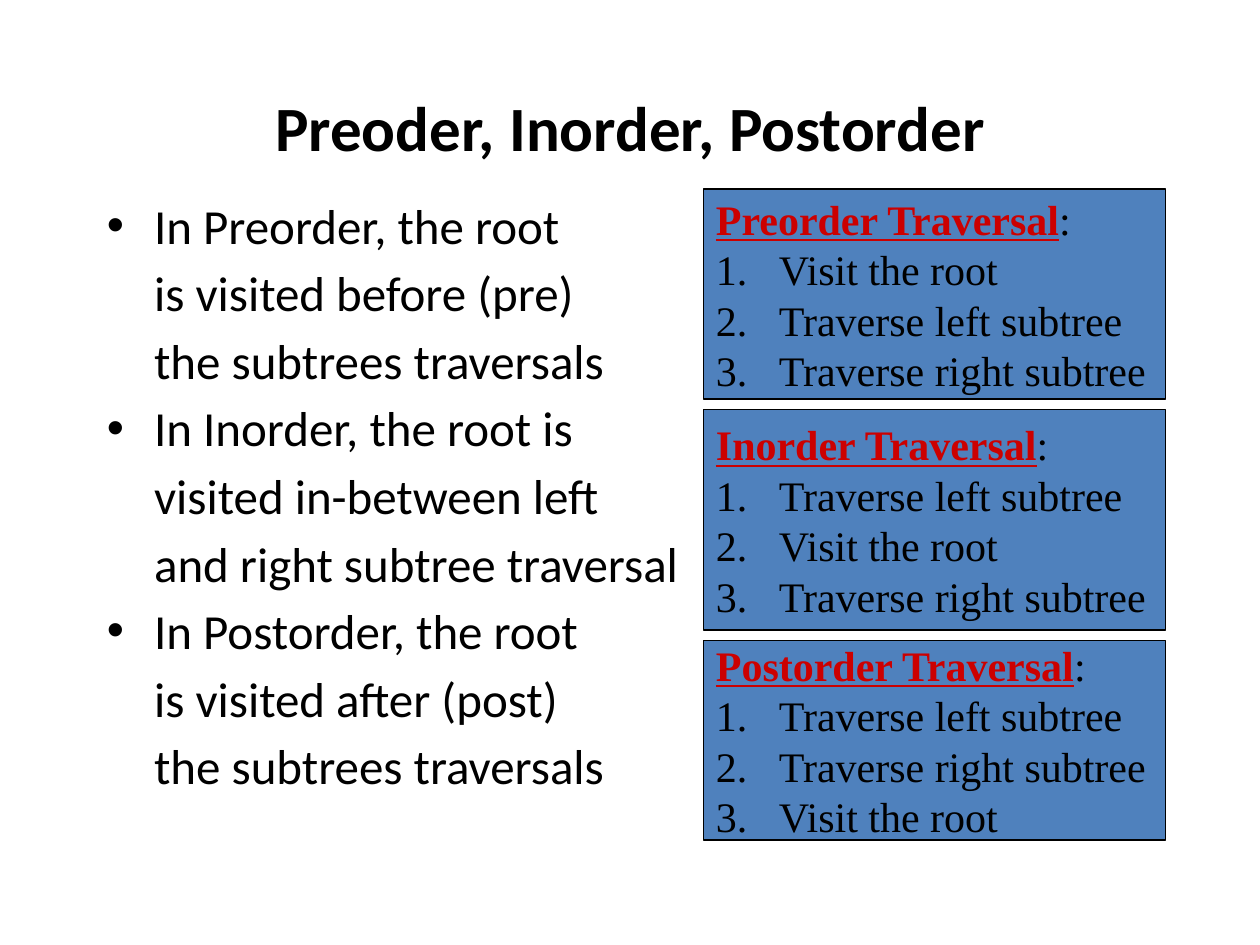
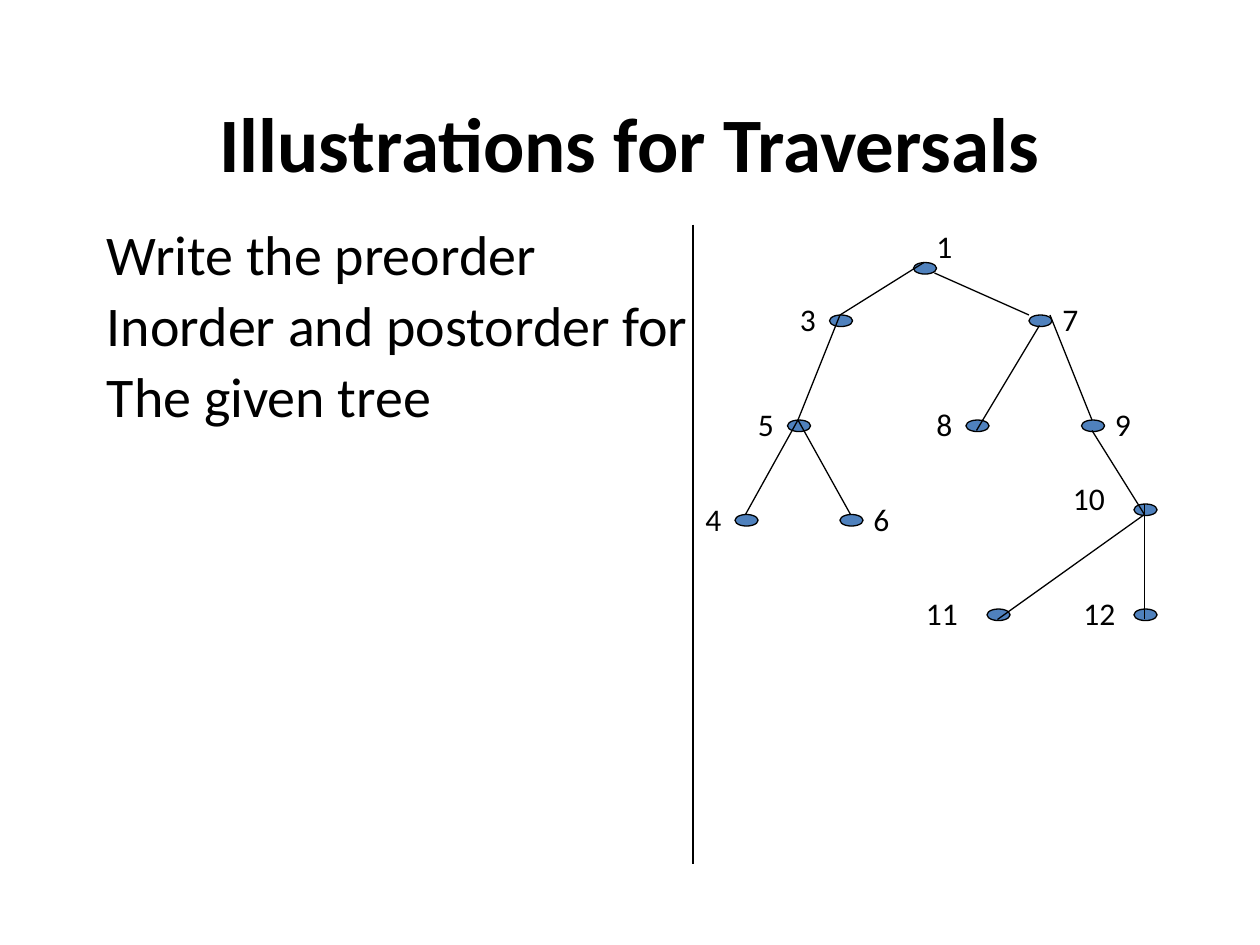
from typing import NamedTuple

from lxml import etree
from pptx import Presentation, util as u
from pptx.dml.color import RGBColor
from pptx.enum import shapes as sh, text as tx
from pptx.oxml.ns import qn

PX = u.Inches(1) // 120
BLACK, RED, BLUE = "000000", "CC0000", "4F81BD"
SANS, SERIF = "Calibri", "Times New Roman"
LEFT, WIDTH = 90, 1020
TITLE_TOP = 80
NODE_W, NODE_H = 22, 11

# Points on a node where an edge may end, measured from its top left corner
TOP, BOTTOM = (10, 0), (10, 10)
CORNER, RIGHT_TOP, RIGHT_BOTTOM = (0, 0), (20, 0), (20, 10)


class Traversal(NamedTuple):
    name: str
    steps: list[str]
    height: int


class Node(NamedTuple):
    x: int
    y: int
    label_x: int
    label_y: int


class Edge(NamedTuple):
    parent: int
    child: int
    start: tuple[int, int] = BOTTOM
    end: tuple[int, int] = TOP


ROOT, LEFT_SUB, RIGHT_SUB = "Visit the root", "Traverse left subtree", "Traverse right subtree"
TRAVERSALS = [
    Traversal("Preorder Traversal", [ROOT, LEFT_SUB, RIGHT_SUB], 200),
    Traversal("Inorder Traversal", [LEFT_SUB, ROOT, RIGHT_SUB], 210),
    Traversal("Postorder Traversal", [LEFT_SUB, RIGHT_SUB, ROOT], 190),
]
EXPLANATIONS = [
    ["In Preorder, the root", "is visited before (pre)", "the subtrees traversals"],
    ["In Inorder, the root is", "visited in-between left", "and right subtree traversal"],
    ["In Postorder, the root", "is visited after (post)", "the subtrees traversals"],
]
TASK = ["Write the preorder", "Inorder and postorder for", "The given tree"]
NODES = {
    1: Node(870, 250, 880, 210),
    3: Node(790, 300, 750, 280),
    7: Node(980, 300, 1000, 280),
    5: Node(750, 400, 710, 380),
    8: Node(920, 400, 880, 380),
    9: Node(1030, 400, 1050, 380),
    4: Node(700, 490, 660, 470),
    6: Node(800, 490, 820, 470),
    10: Node(1080, 480, 1010, 450),
    11: Node(940, 580, 870, 560),
    12: Node(1080, 580, 1020, 560),
}
EDGES = [
    Edge(1, 3, TOP),
    Edge(1, 7, RIGHT_BOTTOM, CORNER),
    Edge(3, 5, TOP),
    Edge(7, 8, BOTTOM, BOTTOM),
    Edge(7, 9, RIGHT_TOP),
    Edge(5, 4, TOP),
    Edge(5, 6, TOP),
    Edge(9, 10, BOTTOM, BOTTOM),
    Edge(10, 11, BOTTOM, BOTTOM),
    Edge(10, 12, TOP, BOTTOM),
]


def px(*lengths: int) -> list[int]:
    return [n * PX for n in lengths]


def rgb(value: str) -> RGBColor:
    return RGBColor.from_string(value)


def add_run(p, text: str, *, size: int, font: str = SANS, color: str = BLACK,
            bold: bool = False, underline: bool = False):
    r = p.add_run()
    r.text = text
    f = r.font
    f.size, f.name, f.bold, f.underline = u.Pt(size), font, bold, underline
    f.color.rgb = rgb(color)


def next_paragraph(tf):
    """Return the empty first paragraph, or a new one once that is in use."""
    p = tf.paragraphs[-1]
    return tf.add_paragraph() if p.runs else p


def indent(p, margin: int, first: int = 0, bullet: str = "", numbered: bool = False):
    """Indent a paragraph in px and give it a bullet or an automatic number."""
    pPr = p._p.get_or_add_pPr()
    pPr.set("marL", str(margin * PX))
    pPr.set("indent", str(first * PX))
    if bullet:
        etree.SubElement(pPr, qn("a:buFont"), typeface="Arial")
        etree.SubElement(pPr, qn("a:buChar"), char=bullet)
    elif numbered:
        etree.SubElement(pPr, qn("a:buAutoNum"), type="arabicPeriod")


def add_text_box(s, x: int, y: int, w: int, h: int):
    tf = s.shapes.add_textbox(*px(x, y, w, h)).text_frame
    tf.word_wrap = True
    return tf


def add_title(s, text: str, *, size: int, height: int):
    tf = add_text_box(s, LEFT, TITLE_TOP, WIDTH, height)
    tf.vertical_anchor = tx.MSO_ANCHOR.MIDDLE
    p = tf.paragraphs[0]
    p.alignment = tx.PP_ALIGN.CENTER
    add_run(p, text, size=size, bold=True)


def add_filled(s, kind: sh.MSO_SHAPE, x: int, y: int, w: int, h: int):
    sp = s.shapes.add_shape(kind, *px(x, y, w, h))
    sp.shadow.inherit = False
    sp.fill.solid()
    sp.fill.fore_color.rgb = rgb(BLUE)
    sp.line.color.rgb = rgb(BLACK)
    sp.line.width = u.Pt(0.75)
    return sp


def add_line(s, x1: int, y1: int, x2: int, y2: int):
    line = s.shapes.add_connector(sh.MSO_CONNECTOR.STRAIGHT, *px(x1, y1, x2, y2))
    line.line.color.rgb = rgb(BLACK)
    line.line.width = u.Pt(0.75)
    etree.SubElement(line._element.spPr, qn("a:effectLst"))


def add_traversal(s, traversal: Traversal, y: int):
    sp = add_filled(s, sh.MSO_SHAPE.RECTANGLE, 670, y, 440, traversal.height)
    tf = sp.text_frame
    tf.word_wrap = False
    tf.vertical_anchor = tx.MSO_ANCHOR.MIDDLE
    for i, text in enumerate([traversal.name, *traversal.steps]):
        p = next_paragraph(tf)
        p.alignment = tx.PP_ALIGN.JUSTIFY
        indent(p, 60, -60, numbered=i > 0)
        if i:
            add_run(p, text, size=24, font=SERIF)
        else:
            add_run(p, text, size=24, font=SERIF, color=RED, bold=True, underline=True)
            add_run(p, ":", size=24, font=SERIF)


def build_orders(s):
    add_title(s, "Preoder, Inorder, Postorder", size=36, height=80)
    top = 180
    tf = add_text_box(s, LEFT, top, WIDTH, 620)
    for lines in EXPLANATIONS:
        for i, text in enumerate(lines):
            p = next_paragraph(tf)
            p.space_before = u.Pt(5)
            if i:
                indent(p, 45)
            else:
                indent(p, 45, -45, bullet="•")
            add_run(p, text, size=28)
    for traversal in TRAVERSALS:
        add_traversal(s, traversal, top)
        top += traversal.height + 10


def build_tree(s):
    add_title(s, "Illustrations for Traversals", size=44, height=110)
    tf = add_text_box(s, LEFT, 210, WIDTH, 590)
    for text in TASK:
        p = next_paragraph(tf)
        p.line_spacing = 0.9
        p.space_before = u.Pt(6)
        add_run(p, text, size=32)
    for number, node in NODES.items():
        add_filled(s, sh.MSO_SHAPE.OVAL, node.x, node.y, NODE_W, NODE_H)
        width = 44 if number < 10 else 74
        label = add_text_box(s, node.label_x, node.label_y, width, 60)
        add_run(label.paragraphs[0], str(number), size=18)
    for edge in EDGES:
        a, b = NODES[edge.parent], NODES[edge.child]
        add_line(s, a.x + edge.start[0], a.y + edge.start[1],
                 b.x + edge.end[0], b.y + edge.end[1])
    add_line(s, 660, 214, 660, 823)


def main():
    prs = Presentation()
    prs.slide_width, prs.slide_height = px(1200, 900)
    for build in (build_orders, build_tree):
        build(prs.slides.add_slide(prs.slide_layouts[6]))
    prs.save("out.pptx")


if __name__ == "__main__":
    main()
